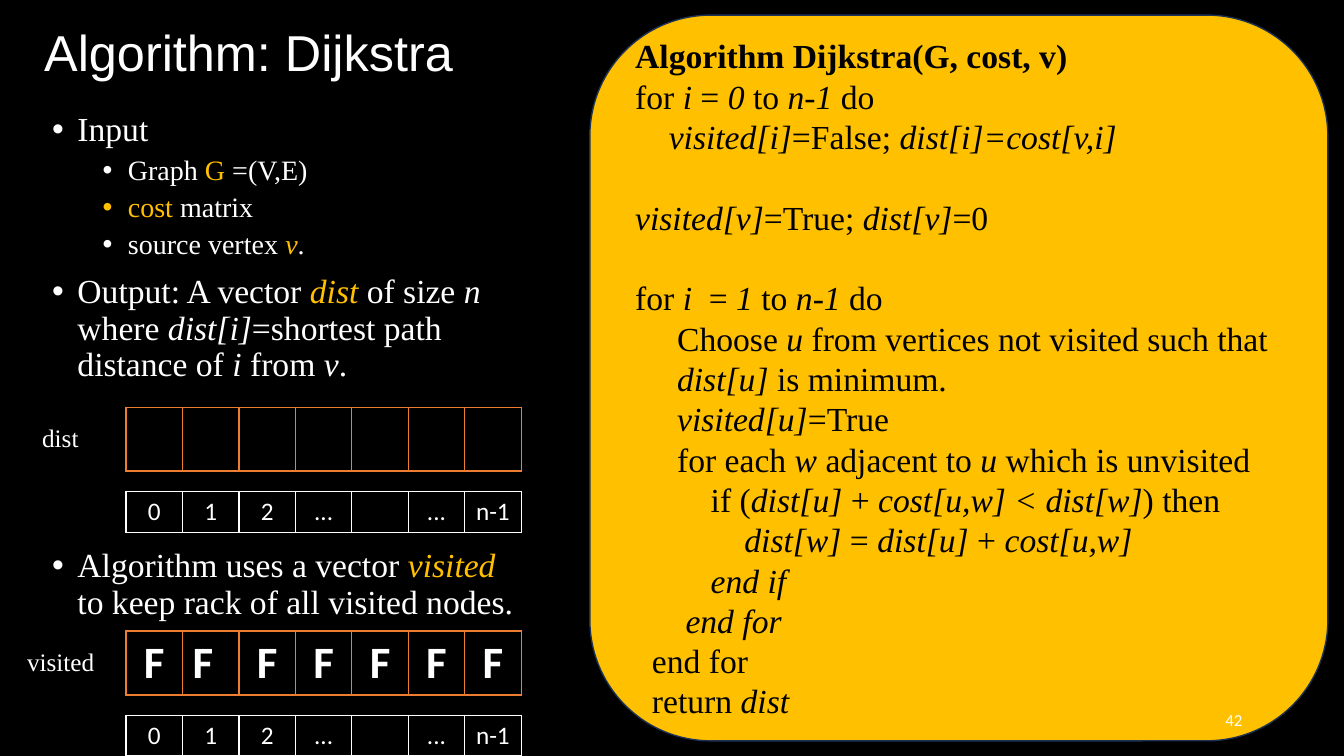
import pptx
import pptx.dml.color
import pptx.enum.shapes
import pptx.enum.text
import pptx.oxml
import pptx.oxml.ns
import pptx.util
from pptx.util import Inches

BLACK, WHITE, GOLD, ORANGE, NAVY = "000000", "FFFFFF", "FFC000", "ED7D31", "1E3256"
SERIF = "Times New Roman"
ALIGN = pptx.enum.text.PP_ALIGN
MIDDLE = pptx.enum.text.MSO_ANCHOR.MIDDLE

CODE_LINE_HEIGHT = 28.8
# Each line: text, blank lines above. Asterisks enclose italics.
CODE = [
    ("for *i* = *0* to *n-1 *do", 0),
    ("    *visited[i]*=False; *dist[i]=cost[v,i]*", 0),
    ("*visited[v]*=True; *dist[v]*=0", 1),
    ("for *i*  = *1* to *n-1* do", 1),
    ("     Choose *u* from vertices not visited such that", 0),
    ("*     dist[u]* is minimum.", 0),
    ("     *visited[u]*=True", 0),
    ("     for each *w* adjacent to *u* which is unvisited", 0),
    ("         if (*dist[u]* + *cost[u,w] < dist[w]*) then", 0),
    ("             *dist[w]* = *dist[u]* + *cost[u,w]*", 0),
    ("*         end if*", 0),
    ("*      end for*", 0),
    ("  end for", 0),
    ("  return *dist*", 0),
]
# Each bullet: text, level, space before in points. Tildes enclose gold text.
BULLETS = [
    ("Input", 0, 0),
    ("Graph ~G~ =(V,E)", 1, 5),
    ("~cost~ matrix", 1, 5),
    ("source vertex *~v~*.", 1, 5),
    ("Output: A vector *~dist~* of size *n* where *dist[i]*=shortest path "
     "distance of *i* from *v*.", 0, 10),
    ("Algorithm uses a vector *~visited~* to keep rack of all visited nodes.", 0, 118),
]
INDEX_LABELS = ["0", "1", "2", "...", "", "...", "n-1"]


def color(hex_value):
    return pptx.dml.color.RGBColor.from_string(hex_value)


def format_font(font, hex_value, **values):
    font.color.rgb = color(hex_value)
    for name, value in values.items():
        setattr(font, name, pptx.util.Pt(value) if name == "size" else value)


def write_marked(paragraph, text, hex_value, **values):
    """Add runs, with *italic* and ~gold~ parts."""
    for i, part in enumerate(text.split("*")):
        for j, piece in enumerate(part.split("~")):
            if piece:
                run = paragraph.add_run()
                run.text = piece
                format_font(run.font, GOLD if j % 2 else hex_value,
                            italic=bool(i % 2), **values)


def next_paragraph(frame):
    first = frame.paragraphs[0]
    return frame.add_paragraph() if first.runs else first


def add_text_box(slide, left, top, width, height):
    box = slide.shapes.add_textbox(Inches(left), Inches(top), Inches(width), Inches(height))
    box.text_frame.word_wrap = True
    return box.text_frame


def add_label(slide, text, left, top, width, height, align=ALIGN.LEFT, **values):
    frame = add_text_box(slide, left, top, width, height)
    frame.vertical_anchor = MIDDLE
    paragraph = frame.paragraphs[0]
    paragraph.alignment = align
    paragraph.line_spacing = 0.9
    write_marked(paragraph, text, WHITE, **values)


def add_code_panel(slide):
    panel = slide.shapes.add_shape(pptx.enum.shapes.MSO_SHAPE.ROUNDED_RECTANGLE,
                                   Inches(5.85), Inches(0.15), Inches(7.32), Inches(7.2))
    panel.shadow.inherit = False
    panel.fill.solid()
    panel.fill.fore_color.rgb = color(GOLD)
    panel.line.color.rgb = color(NAVY)
    panel.line.width = pptx.util.Pt(1)
    frame = panel.text_frame
    frame.word_wrap = True
    frame.vertical_anchor = MIDDLE
    heading = ("Algorithm Dijkstra(G, cost, v)", 0)
    for line in [heading] + CODE:
        text, blank_lines = line
        paragraph = next_paragraph(frame)
        paragraph.alignment = ALIGN.LEFT
        paragraph.space_before = pptx.util.Pt(blank_lines * CODE_LINE_HEIGHT)
        write_marked(paragraph, text, BLACK, name=SERIF, size=24, bold=line is heading)


def add_bullets(slide):
    frame = add_text_box(slide, 0.42, 1.07, 4.87, 6.28)
    namespace = pptx.oxml.ns.nsdecls("a")
    for text, level, space in BULLETS:
        paragraph = next_paragraph(frame)
        paragraph.level = level
        paragraph.line_spacing = 0.9
        paragraph.space_before = pptx.util.Pt(space)
        properties = paragraph._p.get_or_add_pPr()
        properties.set("marL", str(Inches(0.25 + 0.5 * level)))
        properties.set("indent", str(Inches(-0.25)))
        for tag in ('buFont {} typeface="Arial"', 'buChar {} char="•"'):
            properties.append(pptx.oxml.parse_xml(f"<a:{tag.format(namespace)}/>"))
        write_marked(paragraph, text, WHITE, name=SERIF, size=20 if level else 24)


def add_cell_borders(cell):
    properties = cell._tc.get_or_add_tcPr()
    namespace = pptx.oxml.ns.nsdecls("a")
    for position, (side, width) in enumerate({"L": 1, "R": 1, "T": 1, "B": 2}.items()):
        properties.insert(position, pptx.oxml.parse_xml(
            f'<a:ln{side} {namespace} w="{pptx.util.Pt(width)}"><a:solidFill>'
            f'<a:srgbClr val="{ORANGE}"/></a:solidFill></a:ln{side}>'))


def add_row(slide, labels, top, height, size, bold=False, bordered=False, left_column=None):
    """Add a one-row table; left_column is the one column that is not centred."""
    table = slide.shapes.add_table(1, len(labels), Inches(1.25), Inches(top),
                                   Inches(3.92), Inches(height)).table
    table.first_row = table.horz_banding = False
    for column, label in enumerate(labels):
        table.columns[column].width = Inches(0.56)
        cell = table.cell(0, column)
        cell.fill.background()
        if bordered:
            add_cell_borders(cell)
        paragraph = cell.text_frame.paragraphs[0]
        paragraph.alignment = ALIGN.LEFT if column == left_column else ALIGN.CENTER
        write_marked(paragraph, label, WHITE, name="Calibri", size=size, bold=bold)


def add_vector(slide, name, label_left, label_width, top, value, left_column=None):
    """Add a named row of boxes with its index row below."""
    count = len(INDEX_LABELS)
    add_row(slide, [value] * count, top, 0.63, 32, True, True, left_column)
    add_row(slide, INDEX_LABELS, top + 0.84, 0.4, 18)
    add_label(slide, name, label_left, top + 0.12, label_width, 0.4, name=SERIF, size=18)


def main():
    presentation = pptx.Presentation()
    presentation.slide_width = Inches(13.33)
    presentation.slide_height = Inches(7.5)
    slide = presentation.slides.add_slide(presentation.slide_layouts[6])
    slide.background.fill.solid()
    slide.background.fill.fore_color.rgb = color(BLACK)
    add_code_panel(slide)
    add_label(slide, "Algorithm: Dijkstra", 0.34, 0.11, 11.5, 0.87, name="Arial", size=36)
    add_bullets(slide)
    add_label(slide, "42", 9.42, 6.95, 3, 0.4, ALIGN.RIGHT, name="Calibri", size=12)
    add_vector(slide, "dist", 0.32, 0.74, 4.04, "")
    add_vector(slide, "visited", 0.17, 1.03, 6.26, "F", left_column=1)
    presentation.save("out.pptx")


if __name__ == "__main__":
    main()
